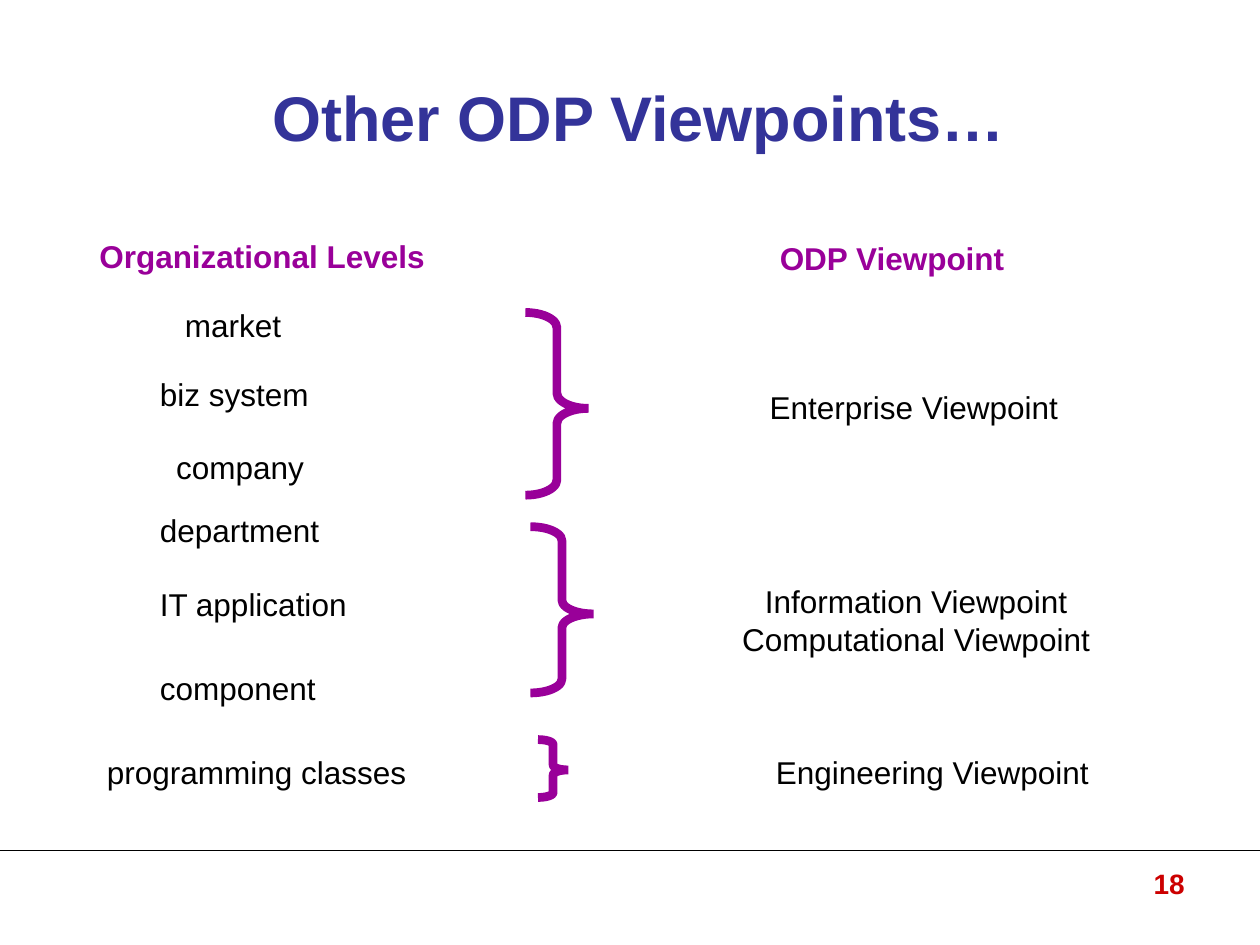
from pptx import Presentation
from pptx.dml.color import RGBColor
from pptx.enum.shapes import MSO_CONNECTOR as Link, MSO_SHAPE as Shape
from pptx.enum.text import MSO_ANCHOR as Anchor, PP_ALIGN as Align
from pptx.oxml.ns import qn
from pptx.util import Inches, Pt
from lxml.etree import SubElement

NAVY = RGBColor(0x33, 0x33, 0x99)
PURPLE = RGBColor(0x99, 0x00, 0x99)
RED = RGBColor(0xCC, 0x00, 0x00)
BLACK = RGBColor(0, 0, 0)

WIDE, HIGH = 10, 7.5
ROW = 0.4  # height of a one-line label
SLACK = 0.1  # spare width that keeps each label line whole

# Content: text, left, top, width
HEADS = [
    ("Organizational Levels", 0.69, 1.83, 2.78),
    ("ODP Viewpoint", 6.09, 1.85, 1.99),
]
LEVELS = [
    ("market", 1.37, 2.38, 0.96),
    ("biz system", 1.17, 2.93, 1.45),
    ("company", 1.3, 3.51, 1.28),
    ("department", 1.17, 4.01, 1.46),
    ("IT application", 1.17, 4.59, 1.68),
    ("component", 1.17, 5.26, 1.5),
    ("programming classes", 0.75, 5.93, 2.64),
]
VIEWS = [
    ("Enterprise Viewpoint", 6.01, 3.03, 2.49),
    ("Information Viewpoint\nComputational Viewpoint", 5.79, 4.57, 2.96),
    ("Engineering Viewpoint", 6.06, 5.93, 2.69),
]
# Braces: left, top, width, height
BRACES = [
    (4.17, 2.48, 0.5, 1.45),
    (4.21, 4.18, 0.5, 1.32),
    (4.27, 5.87, 0.24, 0.46),
]

deck = Presentation()
deck.slide_width, deck.slide_height = Inches(WIDE), Inches(HIGH)
slide = deck.slides.add_slide(deck.slide_layouts[6])
shapes = slide.shapes


def write(text, box, size=18, color=BLACK, bold=False, align=Align.LEFT):
    frame = shapes.add_textbox(*map(Inches, box)).text_frame
    frame.word_wrap = True
    frame.text = text
    for para in frame.paragraphs:
        para.alignment = align
        font = para.font
        font.name, font.size, font.bold = "Arial", Pt(size), bold
        font.color.rgb = color
    return frame


def label(text, left, top, width, **style):
    lines = text.count("\n") + 1
    align = Align.LEFT
    if lines > 1:  # centred text needs its spare width on both sides
        align = Align.CENTER
        left -= SLACK / 2
    write(text, (left, top, width + SLACK, ROW + 0.3 * (lines - 1)), align=align, **style)


def brace(left, top, width, height):
    mark = shapes.add_shape(Shape.RIGHT_BRACE, *map(Inches, (left, top, width, height)))
    mark.shadow.inherit = False
    mark.fill.background()
    mark.line.color.rgb = PURPLE
    mark.line.width = Pt(5)
    # A bevelled join keeps the tip flat
    SubElement(mark._element.spPr.find(qn("a:ln")), qn("a:bevel"))
    # Curl is a twelfth of the height; the tip sits just below the middle
    mark.adjustments[0] = height / 12 / min(width, height)
    mark.adjustments[1] = 0.525


# Footer rule
rule = shapes.add_connector(Link.STRAIGHT, 0, Inches(0.9 * HIGH), Inches(WIDE), Inches(0.9 * HIGH))
rule.line.color.rgb = BLACK
rule.line.width = Pt(1)
SubElement(rule._element.spPr, qn("a:effectLst"))

# Title
title = write(" Other ODP Viewpoints…", (0.5, 0.3, 9, 1.25), 36, NAVY, True, Align.CENTER)
title.vertical_anchor = Anchor.MIDDLE

# Levels, braces and viewpoints
for item in HEADS:
    label(*item, color=PURPLE, bold=True)
for item in LEVELS + VIEWS:
    label(*item)
for item in BRACES:
    brace(*item)

# Page number
write("18", (8.85, 6.83, 0.65, 0.52), 16, RED, True, Align.RIGHT)

deck.save("out.pptx")
